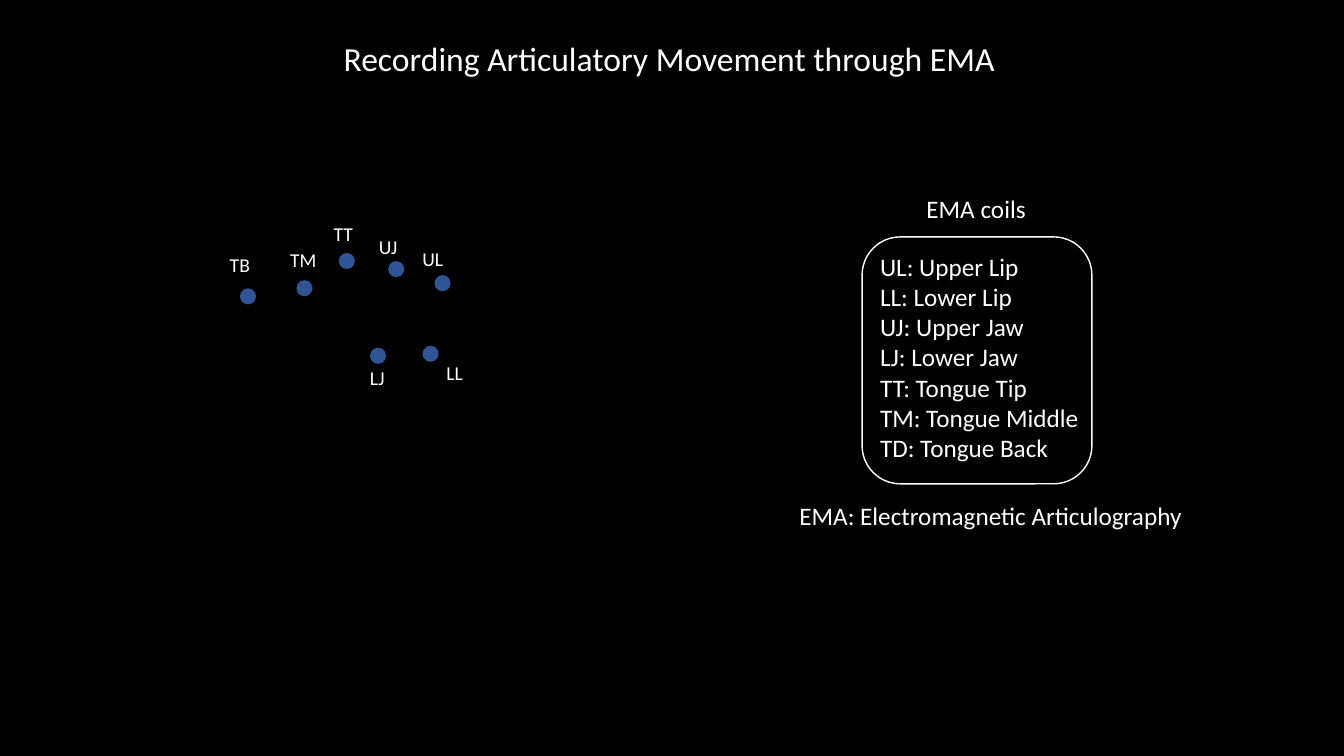
from pptx import Presentation
from pptx.dml.color import RGBColor
from pptx.enum.shapes import MSO_SHAPE as Shape
from pptx.enum.text import MSO_AUTO_SIZE as AutoSize
from pptx.util import Inches, Pt

BLACK, WHITE, COIL_BLUE = "000000", "FFFFFF", "2F5597"
COIL_SIZE = 0.16
LABEL_HEIGHT = 0.34

# (label, coil left and top, label left, top and width)
COILS = [
    ("UL", (4.31, 2.73), (4.09, 2.4, 0.41)),
    ("LL", (4.19, 3.43), (4.33, 3.53, 0.37)),
    ("LJ", (3.67, 3.45), (3.57, 3.58, 0.35)),
    ("TT", (3.36, 2.51), (3.21, 2.15, 0.4)),
    ("UJ", (3.85, 2.59), (3.66, 2.28, 0.39)),
    ("TM", (2.94, 2.78), (2.78, 2.41, 0.47)),
    ("TB", (2.38, 2.86), (2.18, 2.46, 0.41)),
]

COIL_KEY = [
    "UL: Upper Lip",
    "LL: Lower Lip",
    "UJ: Upper Jaw",
    "LJ: Lower Jaw",
    "TT: Tongue Tip",
    "TM: Tongue Middle",
    "TD: Tongue Back",
]


def paint(color_format, hex_color):
    """Set a colour format from a hex string."""
    color_format.rgb = RGBColor.from_string(hex_color)


def add_figure(slide, kind, left, top, width, height, fill, outline=None):
    """Add a flat preset shape with an optional 1 pt outline."""
    figure = slide.shapes.add_shape(
        kind, Inches(left), Inches(top), Inches(width), Inches(height))
    figure.shadow.inherit = False
    figure.fill.solid()
    paint(figure.fill.fore_color, fill)
    if outline:
        paint(figure.line.color, outline)
        figure.line.width = Pt(1)
    else:
        figure.line.fill.background()


def add_text(slide, lines, left, top, width, height, size=18, color=WHITE, font="Calibri"):
    """Add an unwrapped text box with one paragraph per line."""
    box = slide.shapes.add_textbox(
        Inches(left), Inches(top), Inches(width), Inches(height))
    frame = box.text_frame
    frame.word_wrap = False
    frame.auto_size = AutoSize.SHAPE_TO_FIT_TEXT
    frame.text = "\n".join(lines)
    for paragraph in frame.paragraphs:
        for run in paragraph.runs:
            run.font.name = font
            run.font.size = Pt(size)
            paint(run.font.color, color)


def main():
    """Build the slide on EMA coil placement."""
    deck = Presentation()
    deck.slide_width, deck.slide_height = Inches(13.33), Inches(7.5)
    slide = deck.slides.add_slide(deck.slide_layouts[6])
    slide.background.fill.solid()
    paint(slide.background.fill.fore_color, BLACK)

    for label, coil_corner, label_place in COILS:
        add_figure(slide, Shape.OVAL, *coil_corner, COIL_SIZE, COIL_SIZE, COIL_BLUE)
        add_text(slide, [label], *label_place, LABEL_HEIGHT, size=14)

    add_figure(slide, Shape.ROUNDED_RECTANGLE, 8.55, 2.35, 2.28, 2.45, BLACK, outline=WHITE)
    add_text(slide, COIL_KEY, 8.63, 2.44, 2.19, 2.22)
    add_text(slide, ["EMA coils"], 9.09, 1.87, 1.2, 0.4)
    add_text(slide, ["EMA: Electromagnetic Articulography"], 7.83, 4.91, 4.04, 0.4)
    add_text(slide, ["Recording Articulatory Movement through EMA"],
             3.31, 0.33, 6.72, 0.5, size=24)
    deck.save("out.pptx")


if __name__ == "__main__":
    main()
